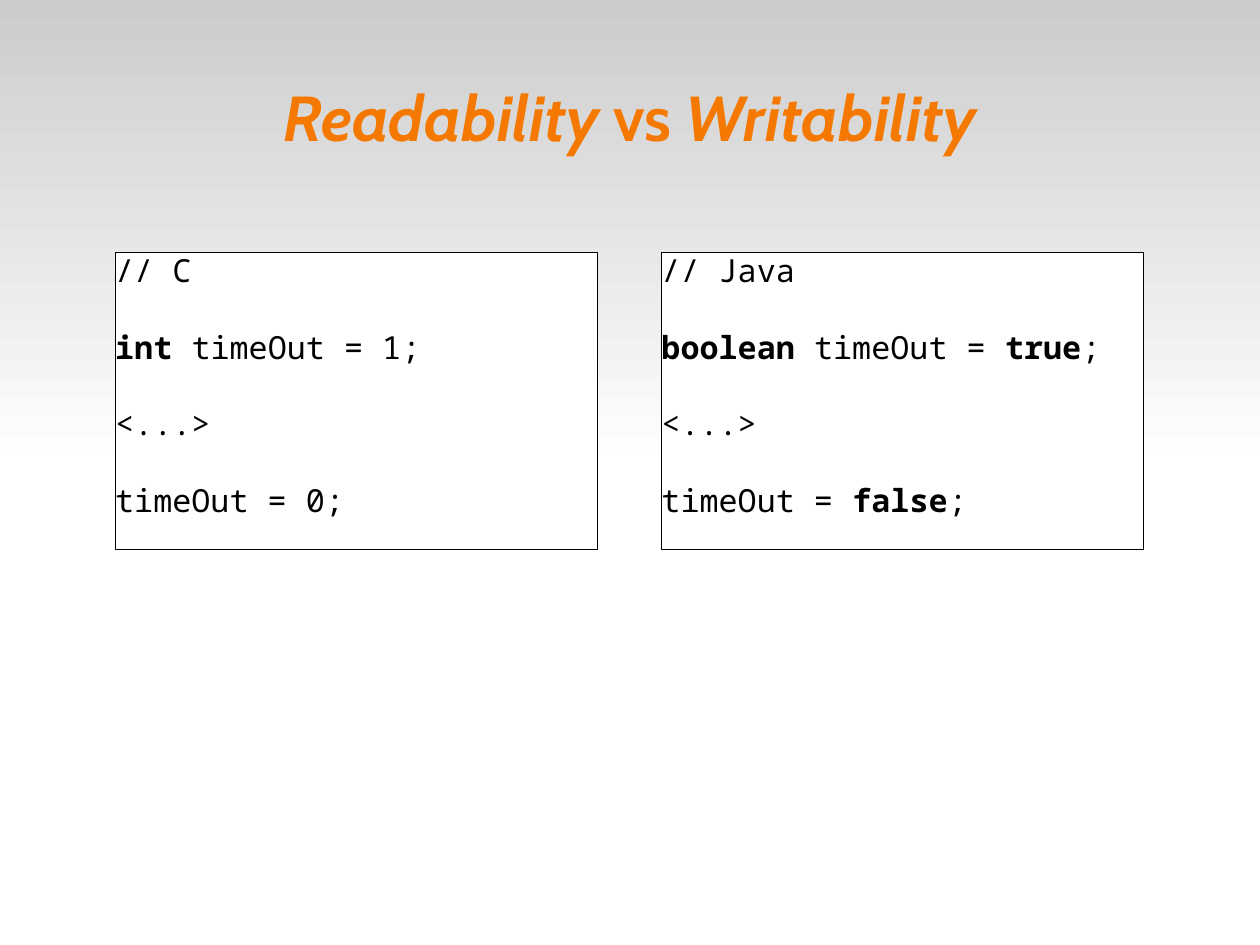
from pptx import Presentation
from pptx.dml.color import RGBColor
from pptx.enum.shapes import MSO_SHAPE
from pptx.enum.text import MSO_ANCHOR, MSO_AUTO_SIZE, PP_ALIGN
from pptx.util import Cm, Pt

RECT = MSO_SHAPE.RECTANGLE
TOP, MIDDLE = MSO_ANCHOR.TOP, MSO_ANCHOR.MIDDLE
LEFT, CENTER = PP_ALIGN.LEFT, PP_ALIGN.CENTER
FIXED = MSO_AUTO_SIZE.NONE
COLORS = {"gray": "CCCCCC", "white": "FFFFFF", "black": "000000", "orange": "F57900"}


def color(name):
    return RGBColor.from_string(COLORS[name])


def set_frame(frame, anchor):
    frame.word_wrap = True
    frame.auto_size = FIXED
    frame.vertical_anchor = anchor
    frame.margin_left = frame.margin_right = 0
    frame.margin_top = frame.margin_bottom = 0


deck = Presentation()
deck.slide_width, deck.slide_height = Cm(28), Cm(21)
slide = deck.slides.add_slide(deck.slide_layouts[5])
shapes = slide.shapes
title = shapes.title

# Gray fade over the upper half, behind the title
fade = shapes.add_shape(RECT, 0, 0, Cm(28), Cm(10.5))
fade.shadow.inherit = False
fade.line.fill.background()
fade.fill.gradient()
fade.fill.gradient_angle = 270
for stop, name, place in zip(fade.fill.gradient_stops, ("gray", "white"), (0, 1)):
    stop.color.rgb = color(name)
    stop.position = place
title.element.addprevious(fade.element)

# Title
title.left, title.top, title.width, title.height = Cm(1.4), Cm(0.84), Cm(25.2), Cm(3.5)
set_frame(title.text_frame, MIDDLE)
para = title.text_frame.paragraphs[0]
para.alignment = CENTER
for text, slant in (("Readability", True), (" vs ", False), ("Writability", True)):
    run = para.add_run()
    run.text = text
    font = run.font
    font.name, font.size = "Cabin", Pt(40)
    font.bold, font.italic = True, slant
    font.color.rgb = color("orange")

# Code boxes: each line is a list of (text, bold) parts
c_code = [
    [("// C", False)],
    [("int", True), (" timeOut = 1;", False)],
    [("<...>", False)],
    [("timeOut = 0;", False)],
]
java_code = [
    [("// Java", False)],
    [("boolean", True), (" timeOut = ", False), ("true", True), (";", False)],
    [("<...>", False)],
    [("timeOut = ", False), ("false", True), (";", False)],
]
for left, code in ((2.56, c_code), (14.7, java_code)):
    box = shapes.add_shape(RECT, Cm(left), Cm(5.61), Cm(10.72), Cm(6.6))
    box.shadow.inherit = False
    box.fill.solid()
    box.fill.fore_color.rgb = color("white")
    box.line.color.rgb = color("black")
    box.line.width = Pt(0)
    frame = box.text_frame
    set_frame(frame, TOP)
    for row, parts in enumerate(code):
        para = frame.add_paragraph() if row else frame.paragraphs[0]
        para.alignment = LEFT
        para.line_spacing = Pt(23)
        para.space_before = Pt(25.2 if row else 0)
        for text, bold in parts:
            run = para.add_run()
            run.text = text
            font = run.font
            font.name, font.size, font.bold = "Noto Sans Mono", Pt(20), bold
            font.color.rgb = color("black")

deck.save("out.pptx")
